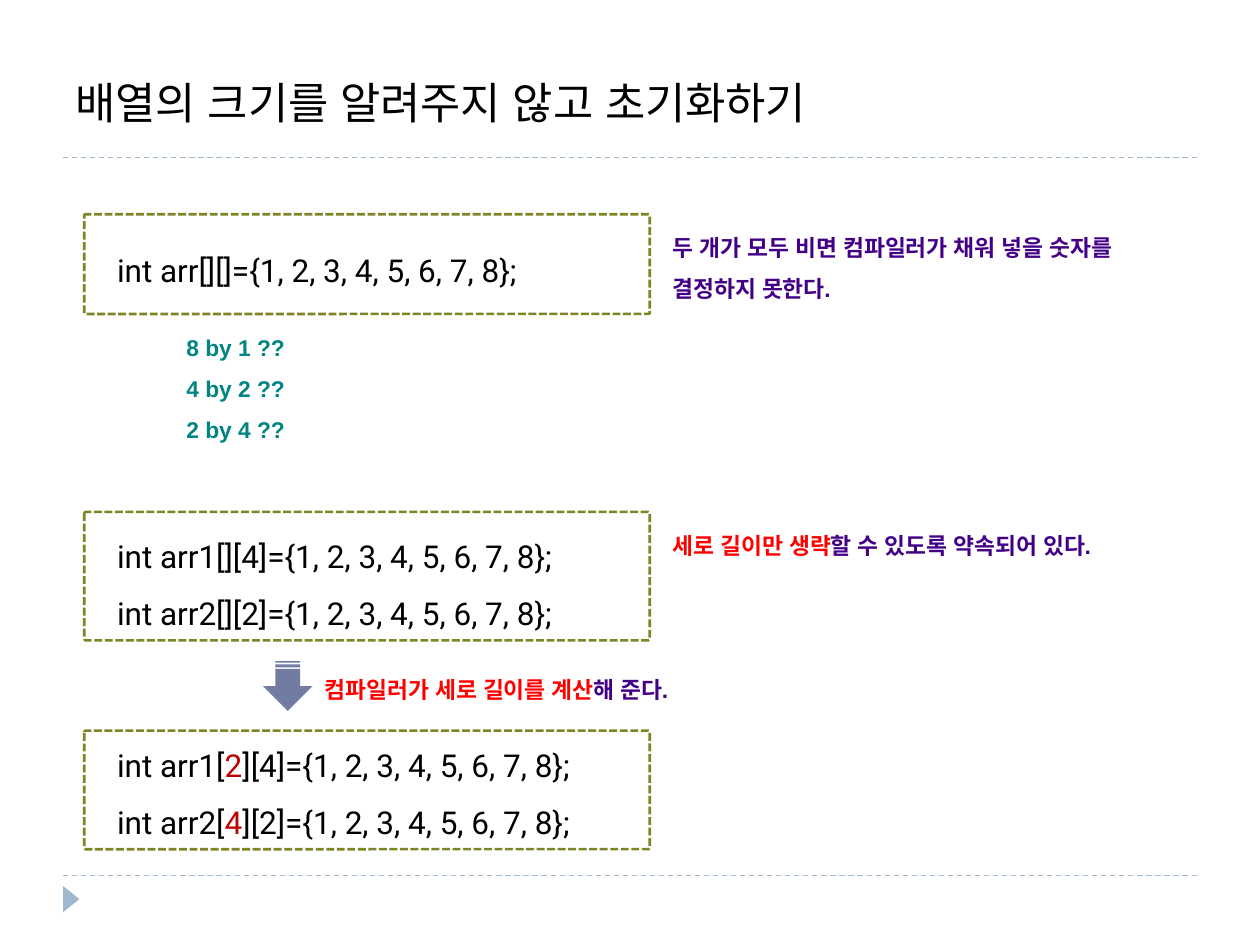
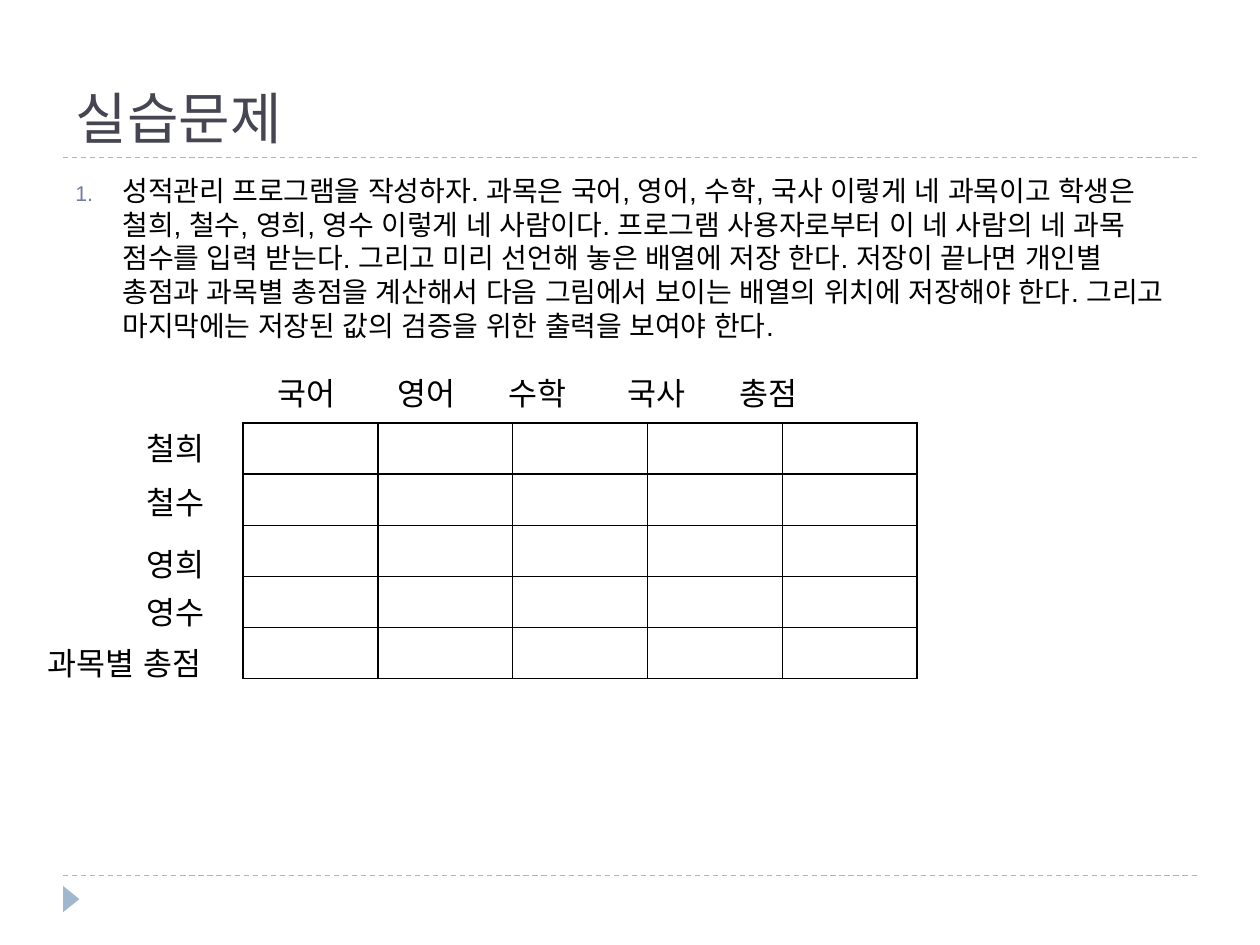
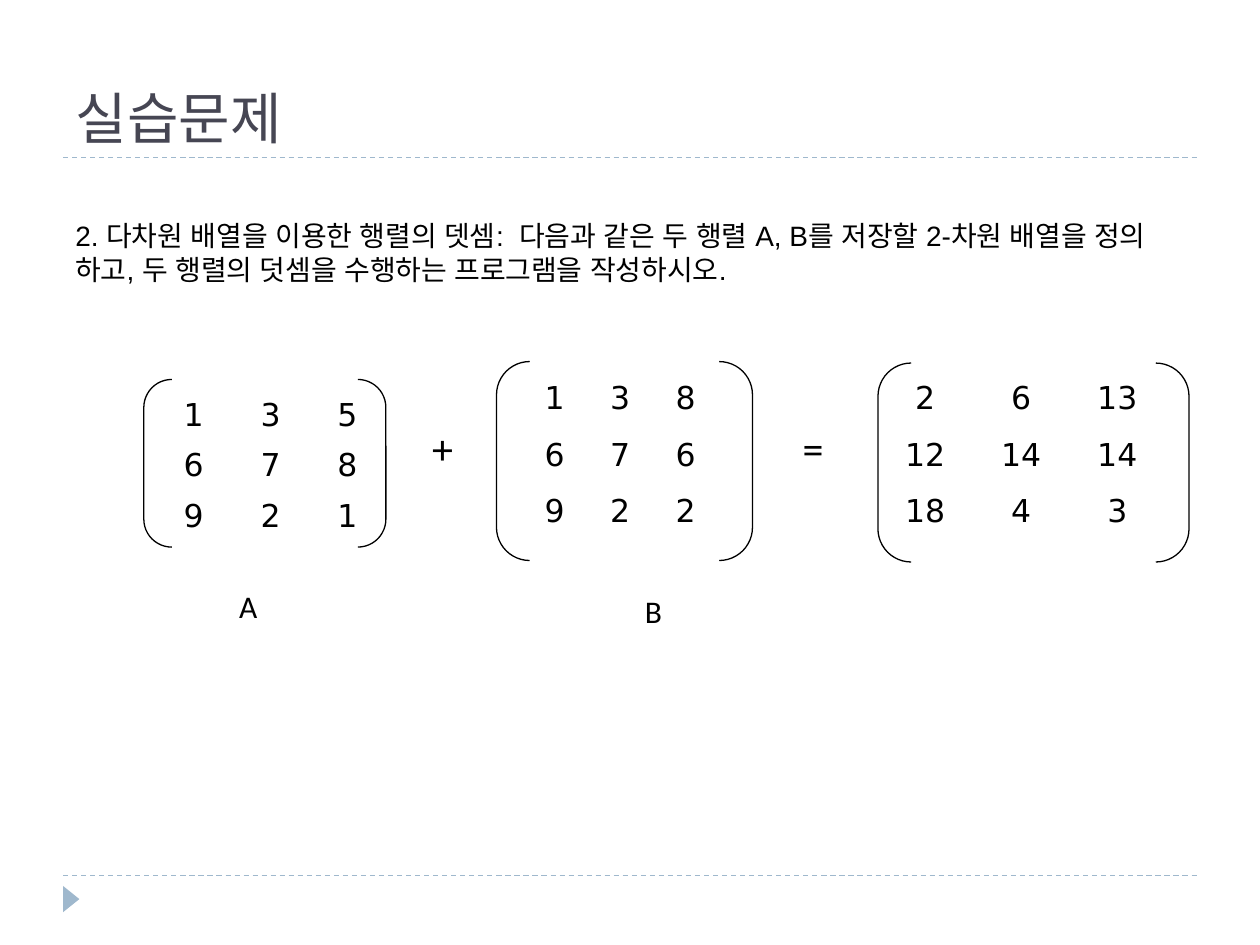
from dataclasses import dataclass
from typing import NamedTuple

from lxml import etree
from pptx import Presentation
from pptx.dml.color import RGBColor
from pptx.enum import dml, shapes, text
from pptx.oxml import ns
from pptx.util import Cm, Pt

NO_STYLE_TABLE = "{2D5ABB26-0587-4C30-8999-92F81FD0307C}"


@dataclass(frozen=True)
class Theme:
    black: str = "000000"
    title: str = "464653"
    rule: str = "9FB8CD"
    accent: str = "727CA3"
    code_border: str = "7D8525"
    note: str = "430086"
    alert: str = "FF0000"
    computed: str = "C00000"
    question: str = "008582"
    sans: str = "Arial"
    code_font: str = "Roboto"
    title_font: str = "TeX Gyre Bonum"
    matrix_font: str = "DejaVu Sans"
    symbol_font: str = "Calibri"
    title_size: int = 32
    long_title_size: int = 25
    operator_size: int = 24
    text_size: int = 18
    body_size: int = 16
    note_size: int = 13


THEME = Theme()


class Box(NamedTuple):
    """A region of the slide in centimetres."""
    left: float
    top: float
    width: float
    height: float

    def inside(self, left, top, width, height):
        return Box(self.left + left, self.top + top, width, height)

    def lengths(self):
        return [Cm(value) for value in self]


def rgb(color):
    return RGBColor.from_string(color)


def add_xml(parent, tag, **attributes):
    return etree.SubElement(parent, ns.qn(tag), attributes)


def write_text(frame, paragraphs, *, size=THEME.text_size, font=THEME.sans,
               color=THEME.black, bold=False, align=text.PP_ALIGN.LEFT,
               spacing=None, before=None):
    """Each paragraph is a string or a list of (text, colour) runs."""
    for index, content in enumerate(paragraphs):
        paragraph = frame.add_paragraph() if index else frame.paragraphs[0]
        paragraph.alignment = align
        if spacing:
            paragraph.line_spacing = spacing
        if before:
            paragraph.space_before = Pt(before)
        runs = [(content, color)] if isinstance(content, str) else content
        for words, run_color in runs:
            run = paragraph.add_run()
            run.text = words
            run.font.size = Pt(size)
            run.font.name = font
            run.font.bold = bold
            run.font.color.rgb = rgb(run_color)
            add_xml(run._r.get_or_add_rPr(), "a:ea", typeface=font)


def add_text(slide, box, *paragraphs, wrap=True, **text_format):
    frame = slide.shapes.add_textbox(*box.lengths()).text_frame
    frame.word_wrap = wrap
    write_text(frame, paragraphs, **text_format)
    return frame


def add_note(slide, box, *paragraphs, color=THEME.note):
    add_text(slide, box, *paragraphs, size=THEME.note_size, color=color,
             bold=True, spacing=1.5)


def add_shape(slide, kind, box, *, fill=None, line=None, line_width=0.75,
              dash=None, adjustment=None, rotation=0):
    shape = slide.shapes.add_shape(kind, *box.lengths())
    shape.shadow.inherit = False
    shape.rotation = rotation
    if adjustment is not None:
        shape.adjustments[0] = adjustment
    if fill:
        shape.fill.solid()
        shape.fill.fore_color.rgb = rgb(fill)
    else:
        shape.fill.background()
    if line:
        shape.line.color.rgb = rgb(line)
        shape.line.width = Pt(line_width)
        shape.line.dash_style = dash
    else:
        shape.line.fill.background()
    return shape


def add_rule(slide, left, top, width):
    rule = slide.shapes.add_connector(
        shapes.MSO_CONNECTOR.STRAIGHT, Cm(left), Cm(top), Cm(left + width), Cm(top))
    rule.line.color.rgb = rgb(THEME.rule)
    rule.line.width = Pt(0.75)
    rule.line.dash_style = dml.MSO_LINE.DASH
    add_xml(rule.element.spPr, "a:effectLst")
    return rule


def add_layout_marks(layout, slide):
    """Draw the rules and the corner mark, then hand them to the layout."""
    marks = [add_rule(slide, 1.27, top, 22.86) for top in (17.65, 3.18)]
    marks.append(add_shape(slide, shapes.MSO_SHAPE.ISOSCELES_TRIANGLE,
                           Box(1.17, 17.96, 0.53, 0.33),
                           fill=THEME.rule, rotation=90))
    for mark in marks:
        layout.element.cSld.spTree.append(mark.element)


def set_title(slide, box, words, **text_format):
    title = slide.shapes.title
    title.left, title.top, title.width, title.height = box.lengths()
    frame = title.text_frame
    frame.auto_size = text.MSO_AUTO_SIZE.NONE
    frame.vertical_anchor = text.MSO_ANCHOR.BOTTOM
    write_text(frame, [words], **text_format)


def set_exercise_title(slide):
    set_title(slide, Box(1.27, 0.43, 22.86, 2.74), "실습문제", color=THEME.title,
              font=THEME.title_font, size=THEME.title_size)


def add_table(slide, box, rows, row_heights, column_count):
    frame = slide.shapes.add_table(len(rows), column_count, *box.lengths())
    table = frame.table
    table.first_row = table.horz_banding = False
    next(frame.element.iter(ns.qn("a:tableStyleId"))).text = NO_STYLE_TABLE
    for column in table.columns:
        column.width = Cm(box.width / column_count)
    for row, height, values in zip(table.rows, row_heights, rows):
        row.height = Cm(height)
        for cell in row.cells:
            cell.fill.background()
        for cell, value in zip(row.cells, values):
            write_text(cell.text_frame, [str(value)], font=THEME.matrix_font,
                       align=text.PP_ALIGN.CENTER)
    return table


def add_borders(table):
    for cell in table.iter_cells():
        properties = cell._tc.get_or_add_tcPr()
        for index, side in enumerate("LRTB"):
            line = add_xml(properties, f"a:ln{side}", w=str(Pt(1)))
            add_xml(add_xml(line, "a:solidFill"), "a:srgbClr", val=THEME.black)
            properties.insert(index, line)


def add_code_panel(slide, box, lines, text_top=0, **text_format):
    add_text(slide, box.inside(0.41, text_top, 10.59, 2.57), *lines,
             font=THEME.code_font, **text_format)
    add_shape(slide, shapes.MSO_SHAPE.ROUNDED_RECTANGLE, box, line=THEME.code_border,
              line_width=1.5, dash=dml.MSO_LINE.SQUARE_DOT, adjustment=0.013)


def add_score_grid(slide, box):
    """Empty score table with subjects above it and students to its left."""
    add_borders(add_table(slide, box, [()] * 5, [box.height / 5] * 5, 5))
    students = [("철희", 0, 2.4), ("철수", 1.09, 12.7),
                ("영희", 2.34, 12.7), ("영수", 3.3, 12.7)]
    for name, top, width in students:
        add_text(slide, box.inside(-2.2, top, width, 1.02), name)
    add_text(slide, box.inside(-4.19, 4.32, 12.7, 1.02), "과목별 총점")

    header = add_text(slide, box.inside(0.45, -1.12, 13.54, 1.02),
                      "\t".join(["국어", "영어", "수학", "국사", "총점"]))
    tabs = add_xml(header.paragraphs[0]._p.get_or_add_pPr(), "a:tabLst")
    for position in (2.42, 4.66, 7.06, 9.3):
        add_xml(tabs, "a:tab", pos=str(Cm(position)), algn="l")


def add_matrix(slide, box, rows, *, row_heights, column_count, table_left,
               table_top, table_width):
    """Numbers in a table, between the brackets that fill the box."""
    table_box = box.inside(table_left, table_top, table_width, sum(row_heights))
    add_table(slide, table_box, rows, row_heights, column_count)
    add_shape(slide, shapes.MSO_SHAPE.DOUBLE_BRACKET, box, line=THEME.black,
              adjustment=0.167)


def build_initialization_slide(slide):
    set_title(slide, Box(1.27, 0.76, 17.22, 1.96),
              "배열의 크기를 알려주지 않고 초기화하기", size=THEME.long_title_size)
    values = "={1, 2, 3, 4, 5, 6, 7, 8};"

    add_code_panel(slide, Box(1.7, 4.32, 11.4, 2.01), [f"int arr[][]{values}"],
                   text_top=0.61)
    add_code_panel(slide, Box(1.7, 10.32, 11.4, 2.59),
                   [f"int arr1[][4]{values}", f"int arr2[][2]{values}"], spacing=1.5)
    add_code_panel(
        slide, Box(1.7, 14.73, 11.4, 2.39),
        [[(f"int {name}[", THEME.black), (rows, THEME.computed),
          (f"][{columns}]{values}", THEME.black)]
         for name, rows, columns in (("arr1", "2", "4"), ("arr2", "4", "2"))],
        text_top=-0.2, spacing=1.5)

    add_note(slide, Box(13.31, 4.32, 10.85, 1.83),
             "두 개가 모두 비면 컴파일러가 채워 넣을 숫자를 결정하지 못한다.")
    add_note(slide, Box(13.31, 10.31, 10.85, 1.09),
             [("세로 길이만 생략", THEME.alert),
              ("할 수 있도록 약속되어 있다.", THEME.note)])
    add_note(slide, Box(3.51, 6.32, 3.61, 2.64),
             "8 by 1 ??", "4 by 2 ??", "2 by 4 ??", color=THEME.question)
    add_shape(slide, shapes.MSO_SHAPE.STRIPED_RIGHT_ARROW, Box(5.3, 13.33, 1, 1),
              fill=THEME.accent, rotation=90)
    add_note(slide, Box(6.3, 13.23, 8.2, 1.09),
             [("컴파일러가 세로 길이를 계산", THEME.alert), ("해 준다.", THEME.note)])


def build_score_slide(slide):
    set_exercise_title(slide)
    body = add_text(
        slide, Box(1.27, 3.38, 22.86, 14.53),
        "성적관리 프로그램을 작성하자. 과목은 국어, 영어, 수학, 국사 이렇게 네 과목이고 "
        "학생은 철희, 철수, 영희, 영수 이렇게 네 사람이다. 프로그램 사용자로부터 이 네 "
        "사람의 네 과목 점수를 입력 받는다. 그리고 미리 선언해 놓은 배열에 저장 한다. "
        "저장이 끝나면 개인별 총점과 과목별 총점을 계산해서 다음 그림에서 보이는 배열의 "
        "위치에 저장해야 한다. 그리고 마지막에는 저장된 값의 검증을 위한 출력을 보여야 한다.",
        size=THEME.body_size, before=6)
    properties = body.paragraphs[0]._p.get_or_add_pPr()
    properties.set("marL", str(Cm(0.95)))
    properties.set("indent", str(-Cm(0.95)))
    add_xml(add_xml(properties, "a:buClr"), "a:srgbClr", val=THEME.accent)
    add_xml(properties, "a:buSzPct", val="76000")
    add_xml(properties, "a:buAutoNum", type="arabicPeriod")
    add_score_grid(slide, Box(4.9, 8.53, 13.59, 5.15))


def build_matrix_slide(slide):
    set_exercise_title(slide)
    add_text(slide, Box(1.27, 4.29, 22.86, 13.62),
             "2. 다차원 배열을 이용한 행렬의 뎃셈:  다음과 같은 두 행렬 A, B를 저장할 "
             "2-차원 배열을 정의 하고, 두 행렬의 덧셈을 수행하는 프로그램을 작성하시오.",
             size=THEME.body_size, before=6)

    wide = dict(row_heights=[1.14, 1.14, 1.25], column_count=4)
    add_matrix(slide, Box(2.9, 7.65, 4.88, 3.38), [(1, 3, 5), (6, 7, 8), (9, 2, 1)],
               row_heights=[0.89] * 3, column_count=3,
               table_left=0.23, table_top=0.23, table_width=4.65)
    add_matrix(slide, Box(10.01, 7.29, 5.16, 4.01), [(1, 3, 8), (6, 7, 6), (9, 2, 2)],
               table_left=0.51, table_top=0.25, table_width=5.28, **wide)
    add_matrix(slide, Box(17.7, 7.32, 6.27, 4.01),
               [(2, 6, 13), (12, 14, 14), (18, 4, 3)],
               table_left=-0.02, table_top=0.22, table_width=7.75, **wide)

    for symbol, left in (("+", 8.46), ("=", 15.93)):
        add_text(slide, Box(left, 8.39, 2.97, 1.3), symbol,
                 font=THEME.symbol_font, size=THEME.operator_size)
    for name, left, top in (("A", 4.57, 11.71), ("B", 12.75, 11.81)):
        add_text(slide, Box(left, top, 3.2, 1.02), name, font=THEME.symbol_font)


def main():
    presentation = Presentation()
    presentation.slide_width, presentation.slide_height = Cm(25.4), Cm(19.05)
    layout = presentation.slide_layouts[5]
    builders = [build_initialization_slide, build_score_slide, build_matrix_slide]
    slides = [presentation.slides.add_slide(layout) for _ in builders]
    add_layout_marks(layout, slides[0])
    for build, slide in zip(builders, slides):
        build(slide)
    presentation.save("out.pptx")


if __name__ == "__main__":
    main()
